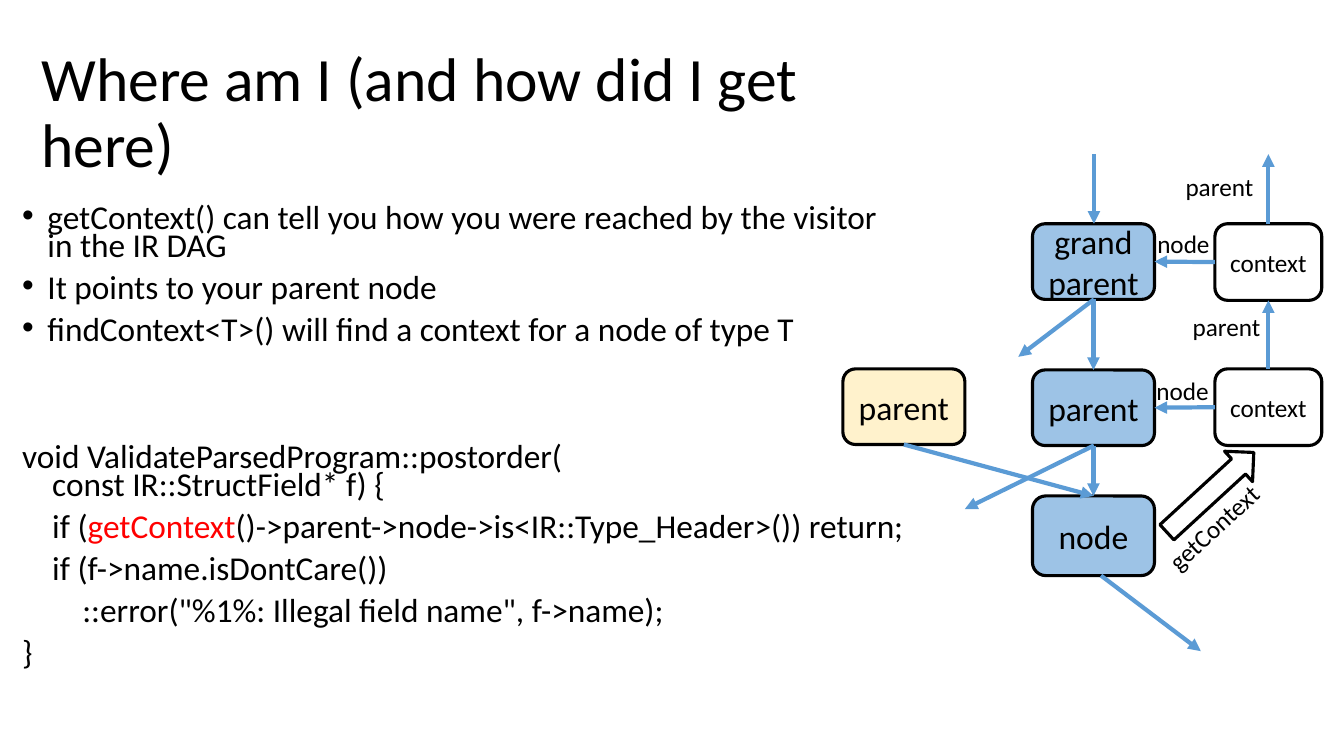
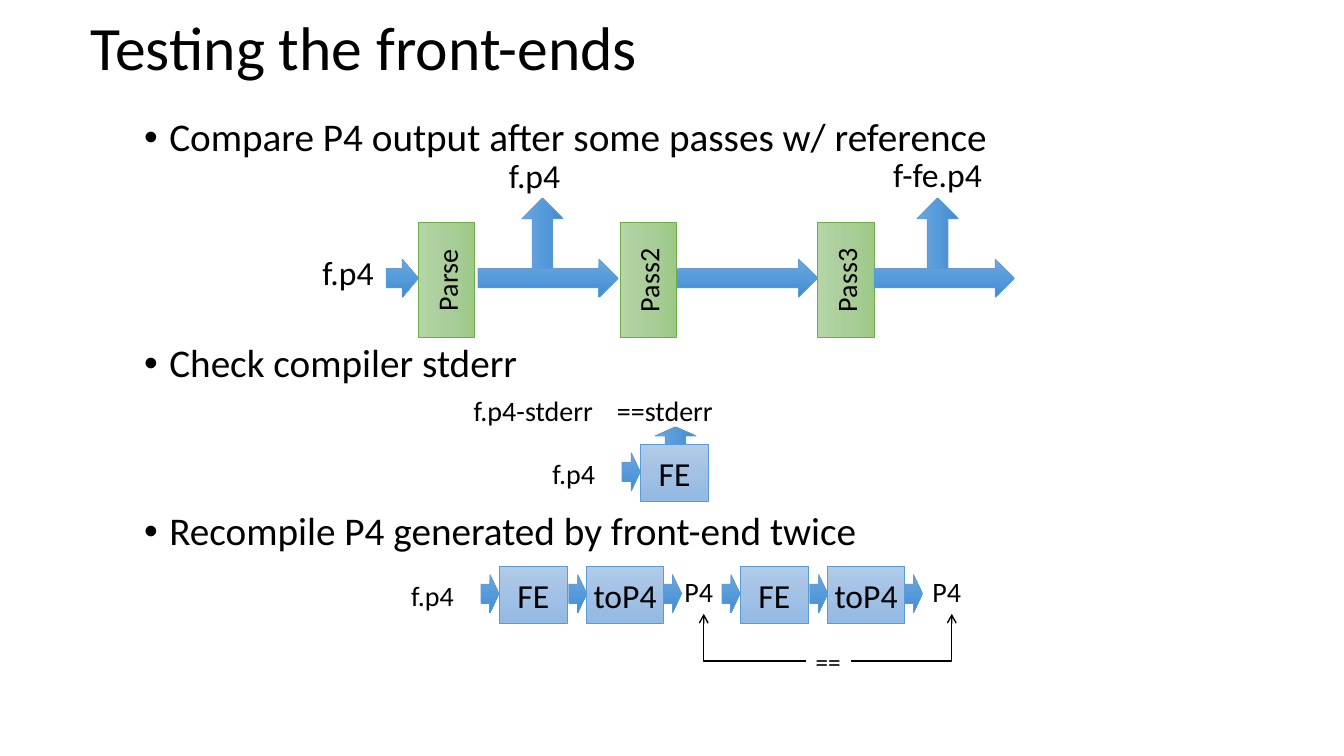
from copy import deepcopy

from pptx import Presentation
from pptx.dml.color import RGBColor
from pptx.enum.shapes import MSO_CONNECTOR, MSO_SHAPE
from pptx.enum.text import MSO_ANCHOR, MSO_AUTO_SIZE, PP_ALIGN
from pptx.oxml.ns import qn
from pptx.oxml.xmlchemy import OxmlElement
from pptx.util import Inches, Pt

ROUNDED, RECTANGLE = MSO_SHAPE.ROUNDED_RECTANGLE, MSO_SHAPE.RECTANGLE
BLOCK_ARROW = MSO_SHAPE.RIGHT_ARROW
STRAIGHT, ELBOW = MSO_CONNECTOR.STRAIGHT, MSO_CONNECTOR.ELBOW
MIDDLE, TOP = MSO_ANCHOR.MIDDLE, MSO_ANCHOR.TOP
LEFT, CENTER = PP_ALIGN.LEFT, PP_ALIGN.CENTER
NO_AUTOFIT = MSO_AUTO_SIZE.NONE

# Connection sites of a rectangle
SITE_TOP, SITE_LEFT, SITE_BOTTOM, SITE_RIGHT = range(4)

FONT = "Calibri"
BLACK, WHITE, RED = "000000", "FFFFFF", "FF0000"
BLUE, NODE_BLUE, CREAM, GREEN = "5B9BD5", "9DC3E6", "FFF2CC", "70AD47"
ARROW_GRADIENT = ("71A6DB", "559BDB", "448ACA")
STAGE_GRADIENT = ("B1CBE9", "A3C1E5", "93B9E4")
PASS_GRADIENT = ("B5D5A7", "AACE9A", "9CC987")


def rgb(colour):
    return RGBColor.from_string(colour)


def inches(lengths):
    return [Inches(length) for length in lengths]


def set_font(paragraph, size):
    font = paragraph.font
    font.name, font.size = FONT, Pt(size)
    font.color.rgb = rgb(BLACK)


def set_bullet(paragraph, bulleted):
    properties = paragraph._p.get_or_add_pPr()
    indent = Inches(0.25) if bulleted else 0
    properties.set("marL", str(indent))
    properties.set("indent", str(-indent))
    if bulleted:
        font = OxmlElement("a:buFont")
        font.set("typeface", "Arial")
        bullet = OxmlElement("a:buChar")
        bullet.set("char", "•")
        properties.append(font)
        properties.append(bullet)
    else:
        properties.append(OxmlElement("a:buNone"))


def set_gradient(shape, colours):
    """Fill from top to bottom with three evenly spaced colours."""
    shape.fill.gradient()
    shape.fill.gradient_angle = 270
    stops = shape._element.spPr.find(".//" + qn("a:gsLst"))
    middle = deepcopy(stops[0])
    middle.set("pos", "50000")
    stops.insert(1, middle)
    for stop, colour in zip(shape.fill.gradient_stops, colours):
        stop.color.rgb = rgb(colour)


class Deck:
    """The shared style and the slide being drawn."""

    def __init__(self):
        self.presentation = Presentation()
        self.presentation.slide_width = Inches(13.33)
        self.presentation.slide_height = Inches(7.5)

    def new_slide(self, title, title_box):
        layout = self.presentation.slide_layouts[1]
        self.slide = self.presentation.slides.add_slide(layout)
        frame = self.place(self.slide.shapes.title, title_box, MIDDLE)
        paragraph = frame.paragraphs[0]
        paragraph.text = title
        paragraph.alignment = LEFT
        paragraph.line_spacing = 0.9
        set_font(paragraph, 44)

    def place(self, placeholder, box, anchor):
        (placeholder.left, placeholder.top,
         placeholder.width, placeholder.height) = inches(box)
        frame = placeholder.text_frame
        frame.auto_size = NO_AUTOFIT
        frame.vertical_anchor = anchor
        return frame

    def body(self, box, items, size, line_spacing):
        """Each item is text, space before, bulleted and, if any, a red word."""
        frame = self.place(self.slide.placeholders[1], box, TOP)
        for index, (text, space, bulleted, *red_words) in enumerate(items):
            paragraph = frame.add_paragraph() if index else frame.paragraphs[0]
            set_bullet(paragraph, bulleted)
            paragraph.line_spacing = line_spacing
            paragraph.space_before = Pt(space)
            set_font(paragraph, size)
            if not red_words:
                paragraph.text = text
                continue
            for part in text.partition(red_words[0]):
                run = paragraph.add_run()
                run.text = part
                if part in red_words:
                    run.font.color.rgb = rgb(RED)

    def set_text(self, shape, text, size, alignment, anchor, wrap):
        frame = shape.text_frame
        frame.word_wrap = wrap
        frame.vertical_anchor = anchor
        paragraph = frame.paragraphs[0]
        paragraph.text = text
        paragraph.alignment = alignment
        set_font(paragraph, size)

    def label(self, text, box, size, wrap=False, rotation=0):
        shape = self.slide.shapes.add_textbox(*inches(box))
        shape.rotation = rotation
        self.set_text(shape, text, size, LEFT, TOP, wrap)
        return shape

    def shape(self, kind, box, fill, line, line_width, rotation=0):
        """The fill is one colour or a tuple of gradient colours."""
        shape = self.slide.shapes.add_shape(kind, *inches(box))
        shape.shadow.inherit = False
        shape.rotation = rotation
        if isinstance(fill, tuple):
            set_gradient(shape, fill)
        else:
            shape.fill.solid()
            shape.fill.fore_color.rgb = rgb(fill)
        shape.line.color.rgb = rgb(line)
        shape.line.width = Pt(line_width)
        return shape

    def node(self, text, box, fill=NODE_BLUE, size=24):
        shape = self.shape(ROUNDED, box, fill, BLACK, 2.25)
        self.set_text(shape, text, size, CENTER, MIDDLE, True)
        return shape

    def stage(self, text, box):
        shape = self.shape(RECTANGLE, box, STAGE_GRADIENT, BLUE, 0.5)
        self.set_text(shape, text, 24, CENTER, MIDDLE, False)

    def compiler_pass(self, text, box):
        shape = self.shape(RECTANGLE, box, PASS_GRADIENT, GREEN, 0.5, 270)
        self.set_text(shape, text, 20, CENTER, MIDDLE, True)

    def block_arrow(self, box, rotation=0):
        self.shape(BLOCK_ARROW, box, ARROW_GRADIENT, BLUE, 0.5, rotation)

    def arrow(self, start, end, kind=STRAIGHT, colour=BLUE, width=3, head="triangle"):
        connector = self.slide.shapes.add_connector(kind, *inches(start + end))
        connector.line.color.rgb = rgb(colour)
        connector.line.width = Pt(width)
        properties = connector._element.spPr
        properties.append(OxmlElement("a:effectLst"))
        tail = OxmlElement("a:tailEnd")
        tail.set("type", head)
        properties.find(qn("a:ln")).append(tail)
        return connector

    def link(self, start, start_site, end, end_site, **style):
        """Glue an arrow to a site of each of two shapes."""
        connector = self.arrow((0, 0), (0, 0), **style)
        connector.begin_connect(start, start_site)
        connector.end_connect(end, end_site)
        return connector

    def corner_link(self, start, start_site, end, end_site):
        """Glue a thin arrow with a single bend."""
        connector = self.link(start, start_site, end, end_site,
                              kind=ELBOW, colour=BLACK, width=1, head="arrow")
        geometry = connector._element.spPr.find(qn("a:prstGeom"))
        geometry.set("prst", "bentConnector2")


def context_slide(deck):
    deck.new_slide("Where am I (and how did I get here)", (0.31, 0.41, 9.14, 1.45))
    deck.body((0.12, 2, 11.99, 4.76), [
        ("getContext() can tell you how you were reached by the visitor\vin the IR DAG",
         0, True),
        ("It points to your parent node", 10, True),
        ("findContext<T>() will find a context for a node of type T", 10, True),
        ("void ValidateParsedProgram::postorder(\v    const IR::StructField* f) {",
         71, False),
        ("    if (getContext()->parent->node->is<IR::Type_Header>()) return;",
         10, False, "getContext"),
        ("    if (f->name.isDontCare())", 10, False),
        ('        ::error("%1%: Illegal field name", f->name);', 10, False),
        ("}", 10, False),
    ], 23.8, 0.7)

    node = deck.node("node", (10.24, 4.92, 1.21, 0.79))
    parent = deck.node("parent", (10.24, 3.67, 1.21, 0.75))
    grandparent = deck.node("grand\vparent", (10.24, 2.22, 1.21, 0.75))
    other_parent = deck.node("parent", (8.36, 3.66, 1.21, 0.75), CREAM)
    context, upper_context = [
        deck.node("context", (12.05, top, 1.06, 0.76), WHITE, 18) for top in (3.66, 2.22)]

    deck.link(context, SITE_TOP, upper_context, SITE_BOTTOM)
    deck.link(context, SITE_LEFT, parent, SITE_RIGHT)
    deck.link(upper_context, SITE_LEFT, grandparent, SITE_RIGHT)
    for upper, lower in ((grandparent, parent), (parent, node), (other_parent, node)):
        deck.link(upper, SITE_BOTTOM, lower, SITE_TOP)
    for start, end in (((10.85, 1.53), (10.85, 2.22)),
                       ((10.85, 2.97), (10.1, 3.54)),
                       ((10.85, 4.42), (9.57, 5.05)),
                       ((10.92, 5.71), (11.91, 6.46)),
                       ((12.58, 2.22), (12.58, 1.53))):
        deck.arrow(start, end)

    deck.label("node", (11.37, 3.67, 0.75, 0.4), 18, wrap=True)
    deck.label("node", (11.38, 2.22, 0.73, 0.4), 18)
    deck.label("parent", (11.73, 3.04, 0.88, 0.4), 18)
    deck.label("parent", (11.66, 1.65, 0.88, 0.4), 18)
    deck.shape(BLOCK_ARROW, (11.42, 4.68, 1.17, 0.41), WHITE, BLACK, 2.25, 317.4)
    deck.label("getContext", (11.38, 5.03, 1.32, 0.4), 18, rotation=317.4)


def testing_slide(deck):
    deck.new_slide("Testing the front-ends", (0.8, 0.06, 9, 0.89))
    deck.body((1.33, 1.12, 9.75, 6.2), [
        ("Compare P4 output after some passes w/ reference", 0, True),
        ("Check compiler stderr", 131, True),
        ("Recompile P4 generated by front-end twice", 90, True),
    ], 28, 0.9)

    # Passes, each followed by a long arrow
    deck.label("f.p4", (3.1, 2.45, 0.74, 0.5), 24)
    for text, left in (("Parse", 3.86), ("Pass2", 5.86), ("Pass3", 7.82)):
        deck.compiler_pass(text, (left, 2.5, 1.14, 0.56))
    for left, width in ((3.83, 0.32), (4.74, 1.39), (6.72, 1.39), (8.67, 1.39)):
        deck.block_arrow((left, 2.57, width, 0.38))
    for left in (5.03, 8.95):
        deck.block_arrow((left, 2.11, 0.7, 0.41), 270)
    deck.label("f.p4", (4.95, 1.49, 0.94, 0.5), 24, wrap=True)
    deck.label("f-fe.p4", (8.76, 1.48, 1.21, 0.5), 24, wrap=True)

    # Error output of one front-end
    deck.label("f.p4", (5.38, 4.48, 0.65, 0.44), 20)
    deck.block_arrow((6.17, 4.49, 0.18, 0.38))
    deck.block_arrow((6.61, 4.12, 0.18, 0.41), 270)
    deck.stage("FE", (6.35, 4.41, 0.68, 0.56))
    deck.label("f.p4-stderr", (4.6, 3.85, 1.42, 0.44), 20)
    deck.label("==stderr", (6.02, 3.85, 1.17, 0.44), 20)

    # Two rounds of front-end and printer
    deck.label("f.p4", (3.98, 5.69, 0.65, 0.44), 20)
    results = []
    for left, result_left in ((4.77, 6.69), (7.16, 9.15)):
        for offset in (0, 0.87, 1.81):
            deck.block_arrow((left + offset, 5.7, 0.18, 0.38))
        deck.stage("FE", (left + 0.18, 5.62, 0.68, 0.56))
        deck.stage("toP4", (left + 1.05, 5.62, 0.76, 0.56))
        results.append(deck.label("P4", (result_left, 5.65, 0.58, 0.44), 20, wrap=True))
    equality = deck.label("==", (7.99, 6.36, 0.45, 0.4), 18)
    for site, result in zip((SITE_LEFT, SITE_RIGHT), results):
        deck.corner_link(equality, site, result, SITE_BOTTOM)


def main():
    deck = Deck()
    context_slide(deck)
    testing_slide(deck)
    deck.presentation.save("out.pptx")


if __name__ == "__main__":
    main()
